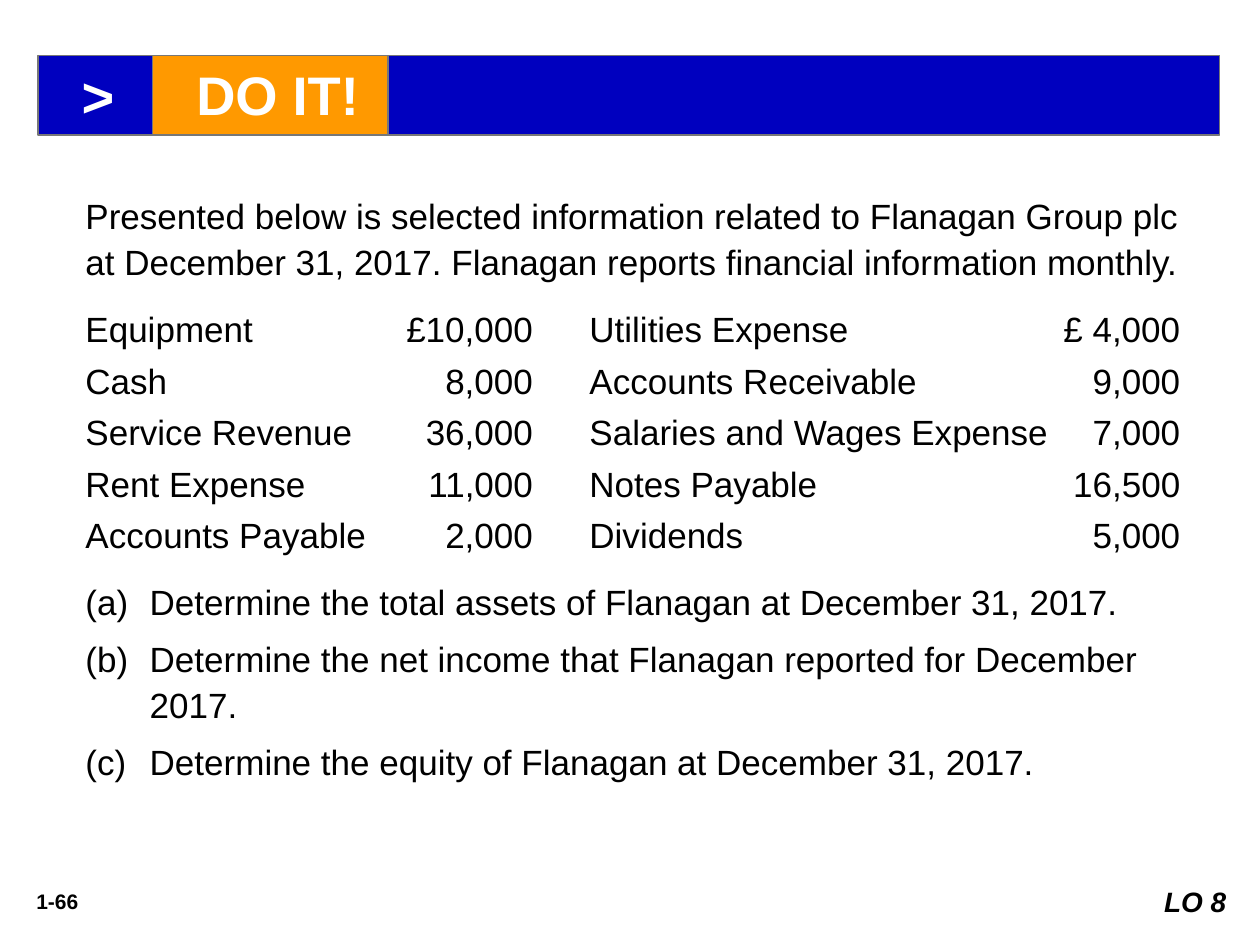
from pptx import Presentation
from pptx.dml.color import RGBColor
from pptx.enum.shapes import MSO_SHAPE
from pptx.enum.text import MSO_ANCHOR, PP_ALIGN
from pptx.oxml.ns import qn
from pptx.util import Inches, Pt
from lxml import etree

RECT = MSO_SHAPE.RECTANGLE
TOP, MIDDLE = MSO_ANCHOR.TOP, MSO_ANCHOR.MIDDLE
LEFT, CENTER, RIGHT = PP_ALIGN.LEFT, PP_ALIGN.CENTER, PP_ALIGN.RIGHT

BLACK = RGBColor(0x00, 0x00, 0x00)
WHITE = RGBColor(0xFF, 0xFF, 0xFF)
BLUE = RGBColor(0x00, 0x00, 0xBF)
ORANGE = RGBColor(0xFF, 0x99, 0x00)
GRAY = RGBColor(0x77, 0x77, 0x77)

AMOUNT_TAB = (8.69, "r")
ACCOUNT_TABS = [(3.63, "r"), (4, "l"), AMOUNT_TAB]

INTRO = ("Presented below is selected information related to Flanagan Group plc "
         "at December 31, 2017. Flanagan reports financial information monthly.")
ACCOUNTS = [
    ("Equipment", "£10,000", "Utilities Expense", "£ 4,000"),
    ("Cash", "8,000", "Accounts Receivable", "9,000"),
    ("Service Revenue", "36,000", "Salaries and Wages Expense", "7,000"),
    ("Rent Expense", "11,000", "Notes Payable", "16,500"),
    ("Accounts Payable", "2,000", "Dividends", "5,000"),
]
QUESTIONS = [
    ("(a)", "Determine the total assets of Flanagan at December 31, 2017."),
    ("(b)", "Determine the net income that Flanagan reported for December 2017."),
    ("(c)", "Determine the equity of Flanagan at December 31, 2017."),
]


def write(paragraph, text, size=20, color=BLACK, bold=False, italic=False,
          align=LEFT, before=0, spacing=1.0, margin=0, indent=0, tabs=()):
    """Fill one paragraph with formatted text."""
    properties = paragraph._p.get_or_add_pPr()
    # An explicit zero indent would reset the tab stops
    if margin:
        properties.set("marL", str(Inches(margin)))
    if indent:
        properties.set("indent", str(Inches(indent)))
    if tabs:
        tab_list = etree.SubElement(properties, qn("a:tabLst"))
        for position, side in tabs:
            etree.SubElement(tab_list, qn("a:tab"), pos=str(Inches(position)), algn=side)
    paragraph.alignment = align
    paragraph.space_before = Pt(before)
    paragraph.line_spacing = spacing
    run = paragraph.add_run()
    run.text = text
    run.font.name = "Arial"
    run.font.size = Pt(size)
    run.font.color.rgb = color
    run.font.bold = bold
    run.font.italic = italic


def add_text_box(slide, box):
    frame = slide.shapes.add_textbox(*map(Inches, box)).text_frame
    frame.word_wrap = True
    return frame


def add_block(slide, box, fill, anchor=TOP, outline=None):
    """Filled rectangle; returns its text frame."""
    block = slide.shapes.add_shape(RECT, *map(Inches, box))
    block.shadow.inherit = False
    block.fill.solid()
    block.fill.fore_color.rgb = fill
    if outline is None:
        block.line.fill.background()
    else:
        block.line.color.rgb = outline
        block.line.width = Pt(1)
    block.text_frame.vertical_anchor = anchor
    return block.text_frame


def add_banner(slide, box):
    """Blue bar with the marker, and the orange title block on it."""
    left, top, width, height = box
    marker = add_block(slide, box, BLUE, anchor=MIDDLE, outline=GRAY)
    write(marker.paragraphs[0], ">", size=32, color=WHITE, bold=True, margin=0.25)
    title = add_block(slide, (left + 0.91, top, 1.87, height), ORANGE, outline=GRAY)
    write(title.paragraphs[0], "DO IT!", size=31, color=WHITE, bold=True, margin=0.25)


def add_exercise(slide, box):
    """Introduction, tabbed account balances and lettered questions."""
    frame = add_text_box(slide, box)
    write(frame.paragraphs[0], INTRO, spacing=1.1, tabs=[AMOUNT_TAB])
    for row, account in enumerate(ACCOUNTS):
        write(frame.add_paragraph(), " \t".join(account), spacing=1.1,
              before=3 if row else 12, tabs=ACCOUNT_TABS)
    for row, question in enumerate(QUESTIONS):
        write(frame.add_paragraph(), " \t".join(question), spacing=1.1,
              before=6 if row else 12, margin=0.51, indent=-0.51, tabs=[AMOUNT_TAB])


def add_footer(slide, number_box, objective_box):
    """Slide number on the left, learning objective on the right."""
    number = add_text_box(slide, number_box)
    write(number.paragraphs[0], "1-66", size=12, bold=True, align=CENTER)
    objective = add_block(slide, objective_box, WHITE)
    write(objective.paragraphs[0], "LO 8", size=16, bold=True, italic=True, align=RIGHT)


def main():
    presentation = Presentation()
    presentation.slide_width = Inches(10)
    presentation.slide_height = Inches(7.5)
    slide = presentation.slides.add_slide(presentation.slide_layouts[6])
    add_banner(slide, (0.3, 0.44, 9.38, 0.63))
    add_exercise(slide, (0.58, 1.46, 9, 4.85))
    add_footer(slide, (0.08, 7, 0.75, 0.3), (9, 6.97, 0.83, 0.37))
    presentation.save("out.pptx")


if __name__ == "__main__":
    main()
